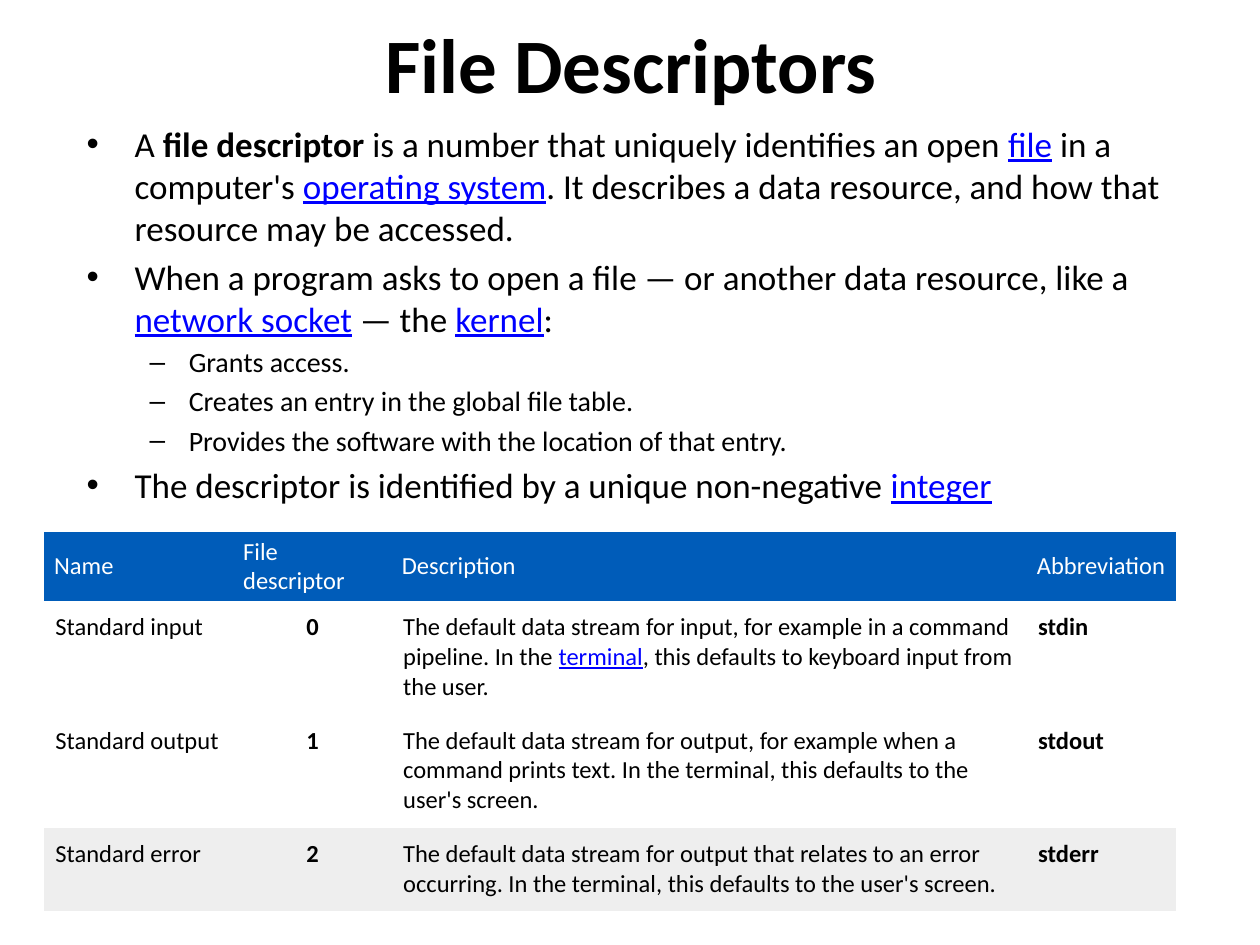
from lxml import etree
from pptx import Presentation
from pptx import util as u
from pptx.dml.color import RGBColor
from pptx.enum import text
from pptx.oxml import ns

FONT = "Calibri"
BLACK = RGBColor(0, 0, 0)
WHITE = RGBColor(255, 255, 255)
LINK_BLUE = RGBColor(0, 0, 255)
HEADER_BLUE = RGBColor(0x00, 0x5C, 0xB9)
PALE_GRAY = RGBColor(0xEE, 0xEE, 0xEE)
PLAIN_TABLE = "{2D5ABB26-0587-4C30-8999-92F81FD0307C}"

# Each paragraph is a list of (words, style) with style "", "bold" or "link".
TITLE = [("File Descriptors", "bold")]
BULLETS = [
    (0, [("A ", ""), ("file descriptor", "bold"),
         (" is a number that uniquely identifies an open ", ""), ("file", "link"),
         (" in a computer's ", ""), ("operating system", "link"),
         (". It describes a data resource, and how that resource may be accessed.", "")]),
    (0, [("When a program asks to open a file — or another data resource, like a ", ""),
         ("network socket", "link"), (" — the ", ""), ("kernel", "link"), (":", "")]),
    (1, [("Grants access.", "")]),
    (1, [("Creates an entry in the global file table.", "")]),
    (1, [("Provides the software with the location of that entry.", "")]),
    (0, [("The descriptor is identified by a unique non-negative ", ""), ("integer", "link")]),
]
LEVELS = [
    {"bullet": "•", "left": 0.38, "hang": 0.38, "size": 20},
    {"bullet": "–", "left": 0.81, "hang": 0.31, "size": 16},
]
HEADERS = ["Name", "File descriptor", "Description", "Abbreviation"]
STREAMS = [
    ("Standard input", "0",
     [("The default data stream for input, for example in a command pipeline. In the ", ""),
      ("terminal", "link"), (", this defaults to keyboard input from the user.", "")], "stdin"),
    ("Standard output", "1",
     [("The default data stream for output, for example when a command prints text. "
       "In the terminal, this defaults to the user's screen.", "")], "stdout"),
    ("Standard error", "2",
     [("The default data stream for output that relates to an error occurring. "
       "In the terminal, this defaults to the user's screen.", "")], "stderr"),
]
COLUMN_WIDTHS = [1.5, 1.26, 5.04, 1.18]
ROW_HEIGHTS = [0.55, 0.9, 0.9, 0.66]
ROW_FILLS = [HEADER_BLUE, WHITE, WHITE, PALE_GRAY]


def write(para, spans, size, color=BLACK, align=text.PP_ALIGN.LEFT):
    para.alignment = align
    for words, style in spans:
        span = para.add_run()
        span.text = words
        font = span.font
        font.name, font.size = FONT, u.Pt(size)
        font.bold = style == "bold"
        font.underline = style == "link"
        font.color.rgb = LINK_BLUE if style == "link" else color


def add_box(page, left, top, width, height, anchor):
    box = page.shapes.add_textbox(*map(u.Inches, (left, top, width, height)))
    box.text_frame.word_wrap = True
    box.text_frame.vertical_anchor = anchor
    return box.text_frame


def set_bullet(para, level):
    props = para._p.get_or_add_pPr()
    props.set("marL", str(u.Inches(level["left"])))
    props.set("indent", str(-u.Inches(level["hang"])))
    etree.SubElement(props, ns.qn("a:buFont")).set("typeface", "Arial")
    etree.SubElement(props, ns.qn("a:buChar")).set("char", level["bullet"])


def add_bullets(page):
    frame = add_box(page, 0.59, 0.92, 9, 3.25, text.MSO_ANCHOR.TOP)
    for index, (depth, spans) in enumerate(BULLETS):
        level = LEVELS[depth]
        para = frame.add_paragraph() if index else frame.paragraphs[0]
        para.level = depth
        set_bullet(para, level)
        para.space_before = u.Pt(level["size"] * 0.2 if index else 0)
        write(para, spans, level["size"])


def fill_cell(cell, spans, fill, margins, anchor, **form):
    cell.fill.solid()
    cell.fill.fore_color.rgb = fill
    cell.margin_left = cell.margin_right = u.Inches(margins[0])
    cell.margin_top = cell.margin_bottom = u.Inches(margins[1])
    cell.vertical_anchor = anchor
    write(cell.text_frame.paragraphs[0], spans, 14, **form)


def add_stream_table(page):
    frame = page.shapes.add_table(
        len(ROW_HEIGHTS), len(COLUMN_WIDTHS), u.Inches(0.35), u.Inches(4.22),
        u.Inches(sum(COLUMN_WIDTHS)), u.Inches(sum(ROW_HEIGHTS)))
    table = frame.table
    table.first_row = table.horz_banding = False
    table._tbl.tblPr.find(ns.qn("a:tableStyleId")).text = PLAIN_TABLE
    for column, width in zip(table.columns, COLUMN_WIDTHS):
        column.width = u.Inches(width)
    for row, height in zip(table.rows, ROW_HEIGHTS):
        row.height = u.Inches(height)

    for column, label in enumerate(HEADERS):
        fill_cell(table.cell(0, column), [(label, "")], ROW_FILLS[0], (0.08, 0.04),
                  text.MSO_ANCHOR.MIDDLE, color=WHITE)
    for row, (name, number, description, short) in enumerate(STREAMS, 1):
        contents = [[(name, "")], [(number, "bold")], description, [(short, "bold")]]
        for column, spans in enumerate(contents):
            align = text.PP_ALIGN.CENTER if column == 1 else text.PP_ALIGN.LEFT
            fill_cell(table.cell(row, column), spans, ROW_FILLS[row], (0.09, 0.09),
                      text.MSO_ANCHOR.TOP, align=align)


def main():
    deck = Presentation()
    deck.slide_width, deck.slide_height = u.Inches(10), u.Inches(7.5)
    page = deck.slides.add_slide(deck.slide_layouts[6])
    title = add_box(page, 0.51, 0.01, 9, 0.98, text.MSO_ANCHOR.MIDDLE)
    write(title.paragraphs[0], TITLE, 44, align=text.PP_ALIGN.CENTER)
    add_bullets(page)
    add_stream_table(page)
    deck.save("out.pptx")


if __name__ == "__main__":
    main()
